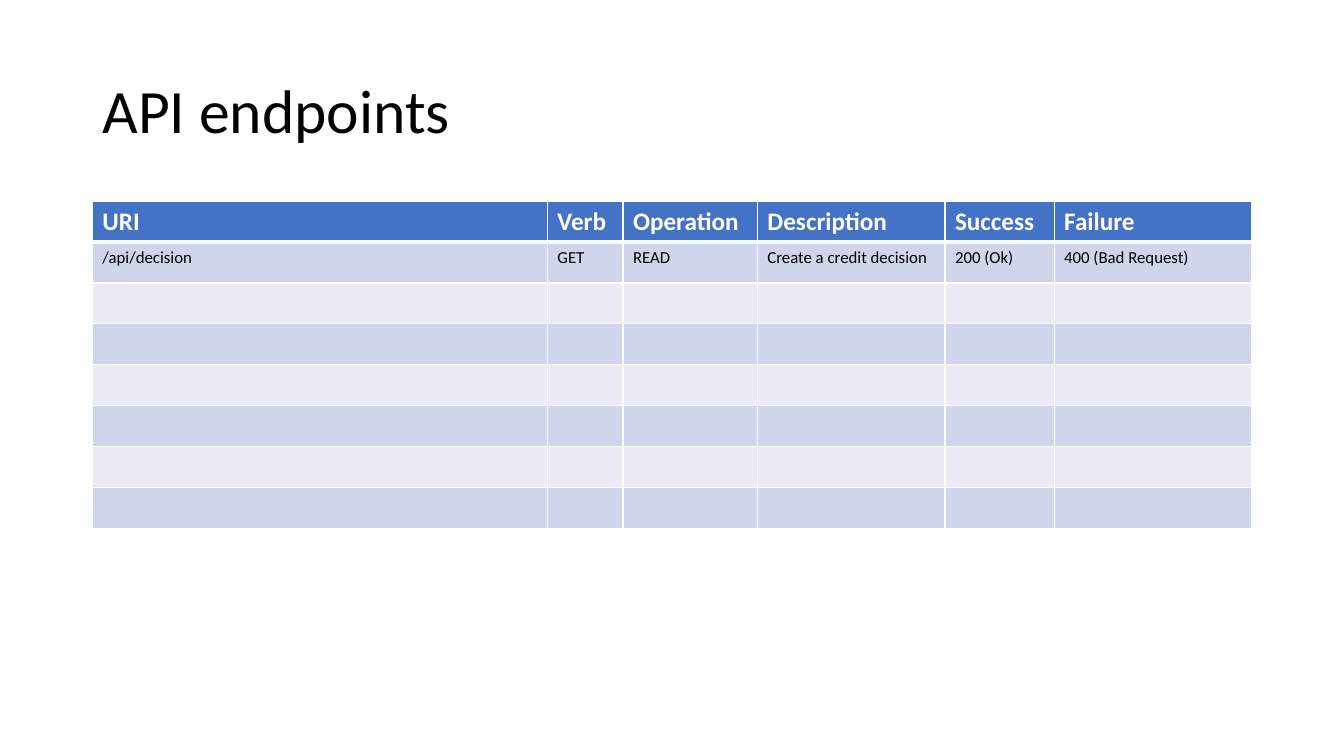
from lxml import etree
from pptx import Presentation
from pptx.dml.color import RGBColor
from pptx.enum import text
from pptx.oxml import ns
from pptx.util import Pt

BLACK = RGBColor(0x00, 0x00, 0x00)
WHITE = RGBColor(0xFF, 0xFF, 0xFF)
HEADER_BLUE = RGBColor(0x44, 0x72, 0xC4)
BANDS = (RGBColor(0xE9, 0xEB, 0xF5), RGBColor(0xCF, 0xD5, 0xEA))

HEADERS = ["URI", "Verb", "Operation", "Description", "Success", "Failure"]
ENDPOINTS = [
    ["/api/decision", "GET", "READ", "Create a credit decision",
     "200 (Ok)", "400 (Bad Request)"],
]
COLUMN_WIDTHS = [325, 54, 96, 134, 78, 141]
ROW_COUNT = 8
ROW_HEIGHT = 29.2


class SlideBuilder:
    """Holds the text style and the current slide; lengths are in points."""

    font_name = "Calibri"

    def __init__(self, slide):
        self.slide = slide

    def format_paragraph(self, paragraph, size, color, bold=False):
        font = paragraph.font
        font.name = self.font_name
        font.size = Pt(size)
        font.color.rgb = color
        font.bold = bold

    def title(self, wording, left, top, width, height):
        shape = self.slide.shapes.title
        shape.left, shape.top = Pt(left), Pt(top)
        shape.width, shape.height = Pt(width), Pt(height)
        frame = shape.text_frame
        frame.text = wording
        frame.auto_size = text.MSO_AUTO_SIZE.NONE
        frame.vertical_anchor = text.MSO_ANCHOR.MIDDLE
        paragraph = frame.paragraphs[0]
        paragraph.alignment = text.PP_ALIGN.LEFT
        paragraph.line_spacing = 0.9
        self.format_paragraph(paragraph, 44, BLACK)

    def border(self, cell, side, width, color):
        properties = cell._tc.get_or_add_tcPr()
        line = etree.SubElement(properties, ns.qn(f"a:ln{side}"), w=str(Pt(width)))
        fill = etree.SubElement(line, ns.qn("a:solidFill"))
        etree.SubElement(fill, ns.qn("a:srgbClr"), val=str(color))

    def cell(self, cell, wording, row):
        is_header = row == 0
        # Borders precede the fill in the cell properties
        widths = {"L": 1, "R": 1, "T": 3 if row == 1 else 1, "B": 3 if is_header else 1}
        for side, width in widths.items():
            self.border(cell, side, width, WHITE)
        cell.fill.solid()
        cell.fill.fore_color.rgb = HEADER_BLUE if is_header else BANDS[row % 2]
        if wording:
            cell.text = wording
            size, color = (18, WHITE) if is_header else (12, BLACK)
            self.format_paragraph(cell.text_frame.paragraphs[0], size, color, is_header)

    def table(self, rows, left, top, column_widths, row_height):
        frame = self.slide.shapes.add_table(
            len(rows), len(column_widths), Pt(left), Pt(top),
            Pt(sum(column_widths)), Pt(row_height * len(rows)))
        table = frame.table
        for column, width in zip(table.columns, column_widths):
            column.width = Pt(width)
        for row_index, wordings in enumerate(rows):
            table.rows[row_index].height = Pt(row_height)
            for column_index, wording in enumerate(wordings):
                self.cell(table.cell(row_index, column_index), wording, row_index)


def main():
    presentation = Presentation()
    presentation.slide_width, presentation.slide_height = Pt(960), Pt(540)
    title_only = presentation.slide_layouts[5]
    builder = SlideBuilder(presentation.slides.add_slide(title_only))

    # Title
    builder.title("API endpoints", 66, 28.75, 828, 104.4)

    # Endpoint table, padded with empty rows
    rows = [HEADERS] + ENDPOINTS
    rows += [[""] * len(HEADERS)] * (ROW_COUNT - len(rows))
    builder.table(rows, 66, 143.75, COLUMN_WIDTHS, ROW_HEIGHT)

    presentation.save("out.pptx")


if __name__ == "__main__":
    main()
